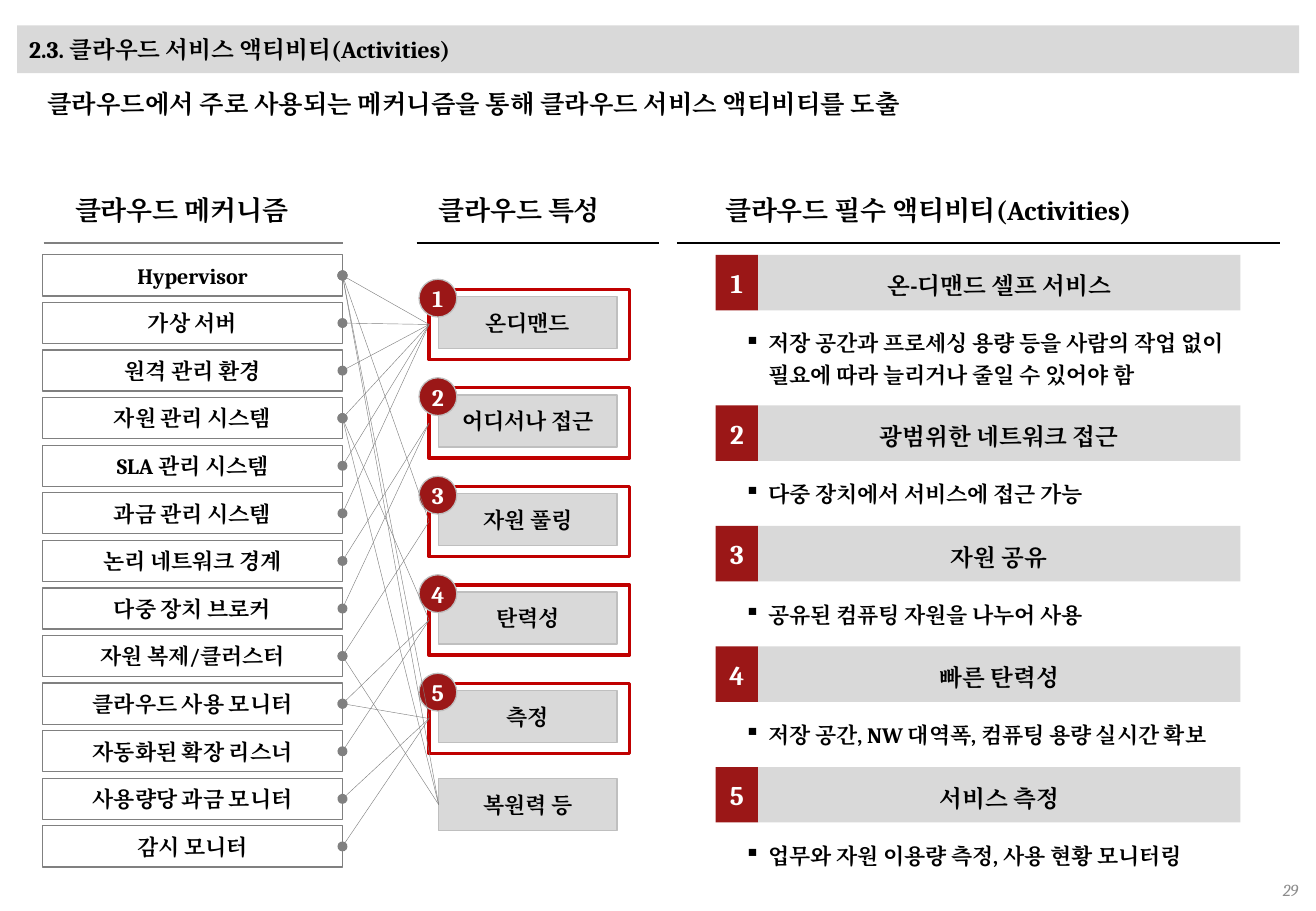
import pptx
import pptx.dml.color
import pptx.enum.shapes
import pptx.enum.text
import pptx.oxml
import pptx.oxml.ns
import pptx.util
from lxml import etree

Cm, Pt = pptx.util.Cm, pptx.util.Pt
RGBColor = pptx.dml.color.RGBColor
SHAPE = pptx.enum.shapes.MSO_SHAPE
ALIGN = pptx.enum.text.PP_ALIGN
ANCHOR = pptx.enum.text.MSO_ANCHOR
qn = pptx.oxml.ns.qn

BLACK = RGBColor(0x00, 0x00, 0x00)
WHITE = RGBColor(0xFF, 0xFF, 0xFF)
GRAY = RGBColor(0x80, 0x80, 0x80)
PAGE_GRAY = RGBColor(0x8C, 0x8C, 0x8C)
EDGE_GRAY = RGBColor(0xBF, 0xBF, 0xBF)
PALE_GRAY = RGBColor(0xD9, 0xD9, 0xD9)
RED = RGBColor(0xC0, 0x00, 0x00)
DARK_RED = RGBColor(0x9B, 0x17, 0x17)

TIGHT = (0.1, 0.1, 0.1, 0.1)
NORMAL = (0.25, 0.13, 0.25, 0.13)
HEADING = (0.2, 0.2, 0.2, 0.2)
DETAIL = (0.6, 0.3, 0.2, 0.2)

MECHANISMS = [
    "Hypervisor", "가상 서버", "원격 관리 환경", "자원 관리 시스템",
    "SLA 관리 시스템", "과금 관리 시스템", "논리 네트워크 경계",
    "다중 장치 브로커", "자원 복제/클러스터", "클라우드 사용 모니터",
    "자동화된 확장 리스너", "사용량당 과금 모니터", "감시 모니터",
]
# Each trait with the indexes of the mechanisms that lead to it
TRAITS = [
    ("온디맨드", (0, 1, 2, 3, 4, 5)),
    ("어디서나 접근", (6, 7)),
    ("자원 풀링", (0, 8)),
    ("탄력성", (3, 9, 10)),
    ("측정", (0, 9, 11, 12)),
]
OTHER_TRAIT = ("복원력 등", (0, 3, 8))
# Title, detail and height of the detail
ACTIVITIES = [
    ("온-디맨드 셀프 서비스",
     "저장 공간과 프로세싱 용량 등을 사람의 작업 없이 필요에 따라 늘리거나 줄일 수 있어야 함", 1.75),
    ("광범위한 네트워크 접근", "다중 장치에서 서비스에 접근 가능", 1.12),
    ("자원 공유", "공유된 컴퓨팅 자원을 나누어 사용", 1.12),
    ("빠른 탄력성", "저장 공간, NW 대역폭, 컴퓨팅 용량 실시간 확보", 1.12),
    ("서비스 측정", "업무와 자원 이용량 측정, 사용 현황 모니터링", 1.12),
]
# Heading, its left and width, then start, end and colour of its rule
COLUMNS = [
    ("클라우드 메커니즘", 1.37, 5.97, 0.91, 7.16, GRAY),
    ("클라우드 특성", 8.97, 4.19, 8.71, 13.77, BLACK),
    ("클라우드 필수 액티비티(Activities)", 14.96, 11, 14.15, 26.75, BLACK),
]

LIST_TOP, LIST_BOTTOM = 5.33, 18.13
MECHANISM_LEFT, MECHANISM_WIDTH, MECHANISM_HEIGHT = 0.89, 6.27, 0.86
MECHANISM_PITCH = (LIST_BOTTOM - MECHANISM_HEIGHT - LIST_TOP) / (len(MECHANISMS) - 1)
TRAIT_LEFT, TRAIT_TOP, TRAIT_WIDTH, TRAIT_HEIGHT, TRAIT_PITCH = 9.17, 6.2, 3.73, 1.09, 2.06
FRAME_LEFT, FRAME_WIDTH, FRAME_HEIGHT = 8.97, 4.19, 1.47
OTHER_TRAIT_TOP = 16.28
ACTIVITY_LEFT, NUMBER_WIDTH, TITLE_WIDTH = 14.96, 0.89, 10.08
TITLE_HEIGHT, ACTIVITY_GAP = 1.16, 0.24


class SlidePainter:
    font_name = "Cambria"

    def __init__(self, slide):
        self.shapes = slide.shapes

    def fill_text(self, holder, words, size, color=BLACK, align=ALIGN.LEFT, anchor=ANCHOR.MIDDLE,
                  insets=NORMAL, spacing=1.0, wrap=True, bullet=None, bold=True, italic=False):
        frame = holder.text_frame
        frame.word_wrap = wrap
        frame.vertical_anchor = anchor
        (frame.margin_left, frame.margin_top,
         frame.margin_right, frame.margin_bottom) = map(Cm, insets)
        paragraph = frame.paragraphs[0]
        paragraph.alignment = align
        paragraph.line_spacing = spacing
        if bullet:
            properties = paragraph._p.get_or_add_pPr()
            properties.set("marL", str(Cm(0.5)))
            properties.set("indent", str(-Cm(0.5)))
            etree.SubElement(properties, qn("a:buChar"), char=bullet)
        run = paragraph.add_run()
        run.text = words
        font = run.font
        font.name, font.size, font.bold, font.italic = self.font_name, Pt(size), bold, italic
        font.color.rgb = color
        etree.SubElement(run._r.get_or_add_rPr(), qn("a:ea"), typeface=self.font_name)

    def text(self, left, top, width, height, words, size, **style):
        holder = self.shapes.add_textbox(Cm(left), Cm(top), Cm(width), Cm(height))
        self.fill_text(holder, words, size, **style)

    def box(self, left, top, width, height, fill=None, line=None, line_width=0.75,
            kind=SHAPE.RECTANGLE, words=None, size=13, **style):
        shape = self.shapes.add_shape(kind, Cm(left), Cm(top), Cm(width), Cm(height))
        shape.shadow.inherit = False
        if fill is None:
            shape.fill.background()
        else:
            shape.fill.solid()
            shape.fill.fore_color.rgb = fill
        if line is None:
            shape.line.fill.background()
        else:
            shape.line.color.rgb = line
            shape.line.width = Pt(line_width)
        if words:
            self.fill_text(shape, words, size, **{"align": ALIGN.CENTER, **style})

    def line(self, x1, y1, x2, y2, color=GRAY, width=0.75, dotted_start=False):
        """Draw a straight line, with a round dot at its start if asked."""
        connector = self.shapes.add_connector(
            pptx.enum.shapes.MSO_CONNECTOR.STRAIGHT, Cm(x1), Cm(y1), Cm(x2), Cm(y2))
        connector.line.color.rgb = color
        connector.line.width = Pt(width)
        properties = connector._element.spPr
        if dotted_start:
            etree.SubElement(properties.find(qn("a:ln")), qn("a:headEnd"), type="oval")
        etree.SubElement(properties, qn("a:effectLst"))


def draw_headings(painter):
    painter.text(20.96, 18.31, 6.43, 0.61, "29", 10, color=PAGE_GRAY,
                 align=ALIGN.RIGHT, bold=False, italic=True)
    painter.box(0.36, 0.53, 26.8, 1, fill=PALE_GRAY, size=14, align=ALIGN.LEFT,
                words="2.3. 클라우드 서비스 액티비티(Activities)")
    painter.text(0.79, 1.52, 25.98, 2.06,
                 "클라우드에서 주로 사용되는 메커니즘을 통해 클라우드 서비스 액티비티를 도출", 15,
                 anchor=ANCHOR.TOP, insets=HEADING, spacing=1.2)
    for heading, left, width, start, end, color in COLUMNS:
        painter.text(left, 3.94, width, 0.99, heading, 16, insets=HEADING, spacing=0.9)
        painter.line(start, 5.08, end, 5.08, color)


def draw_mechanisms(painter):
    for row, mechanism in enumerate(MECHANISMS):
        painter.box(MECHANISM_LEFT, LIST_TOP + row * MECHANISM_PITCH, MECHANISM_WIDTH,
                    MECHANISM_HEIGHT, line=GRAY, words=mechanism)


def draw_links(painter, sources, x, y):
    for row in sources:
        painter.line(MECHANISM_LEFT + MECHANISM_WIDTH,
                     LIST_TOP + row * MECHANISM_PITCH + MECHANISM_HEIGHT / 2,
                     x, y, width=0.25, dotted_start=True)


def draw_traits(painter):
    def trait_box(top, trait):
        painter.box(TRAIT_LEFT, top, TRAIT_WIDTH, TRAIT_HEIGHT, PALE_GRAY, EDGE_GRAY, words=trait)

    for row, (trait, sources) in enumerate(TRAITS):
        top = TRAIT_TOP + row * TRAIT_PITCH
        frame_top = top - 0.15
        trait_box(top, trait)
        painter.box(FRAME_LEFT, frame_top, FRAME_WIDTH, FRAME_HEIGHT, line=RED, line_width=2)
        painter.box(8.76, top - 0.36, 0.79, 0.79, DARK_RED, EDGE_GRAY, kind=SHAPE.OVAL,
                    words=str(row + 1), size=14, color=WHITE, insets=TIGHT, wrap=False)
        draw_links(painter, sources, FRAME_LEFT, frame_top + FRAME_HEIGHT / 2)
    trait, sources = OTHER_TRAIT
    trait_box(OTHER_TRAIT_TOP, trait)
    draw_links(painter, sources, TRAIT_LEFT, OTHER_TRAIT_TOP + TRAIT_HEIGHT / 2)


def draw_activities(painter):
    top = LIST_TOP
    for number, (title, detail, detail_height) in enumerate(ACTIVITIES, 1):
        painter.box(ACTIVITY_LEFT, top, NUMBER_WIDTH, TITLE_HEIGHT, DARK_RED, words=str(number),
                    size=16, color=WHITE, insets=TIGHT, wrap=False)
        painter.box(ACTIVITY_LEFT + NUMBER_WIDTH, top, TITLE_WIDTH, TITLE_HEIGHT, PALE_GRAY,
                    words=title, size=14, insets=TIGHT, spacing=1.2, wrap=False)
        painter.text(ACTIVITY_LEFT, top + TITLE_HEIGHT, 11, detail_height, detail, 13,
                     anchor=ANCHOR.TOP, insets=DETAIL, spacing=1.2, bullet="▪")
        top += TITLE_HEIGHT + detail_height + ACTIVITY_GAP


def main():
    deck = pptx.Presentation()
    deck.slide_width, deck.slide_height = Cm(27.51), Cm(19.05)
    painter = SlidePainter(deck.slides.add_slide(deck.slide_layouts[6]))
    draw_headings(painter)
    draw_activities(painter)
    draw_mechanisms(painter)
    draw_traits(painter)
    deck.save("out.pptx")


if __name__ == "__main__":
    main()
